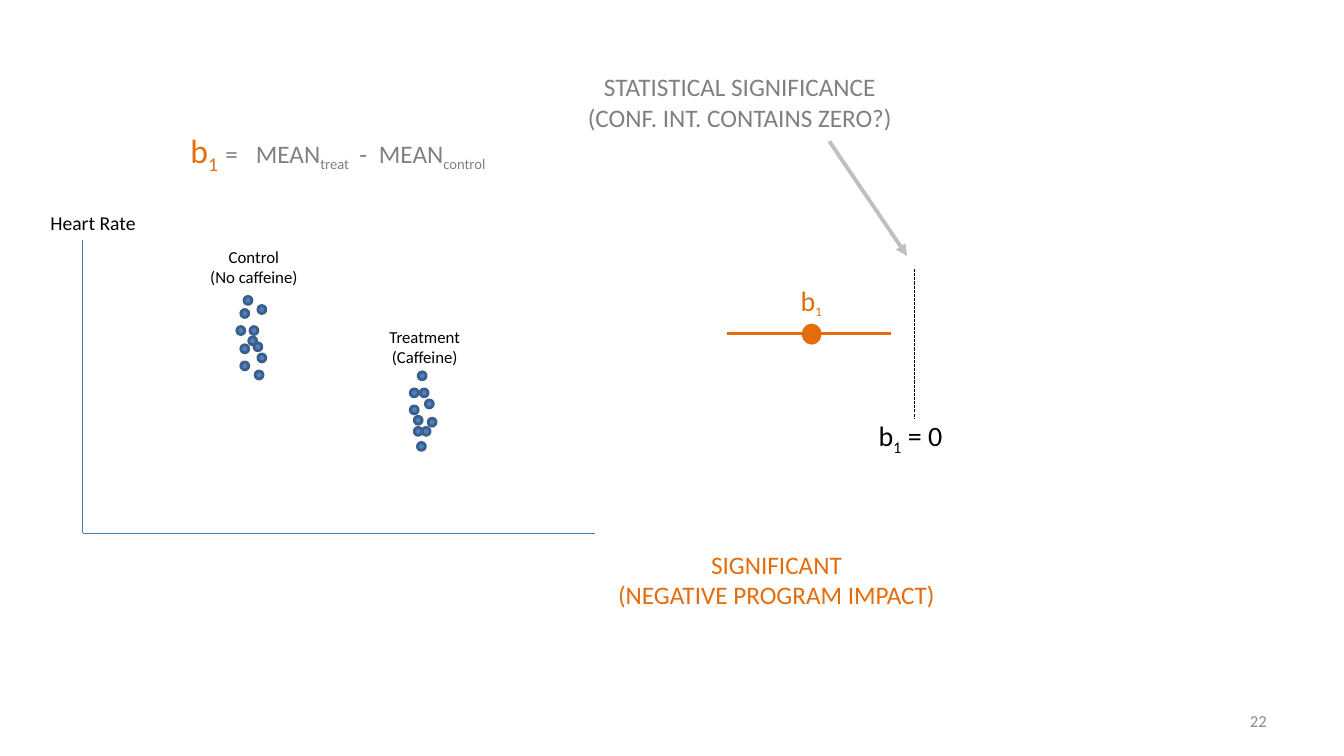
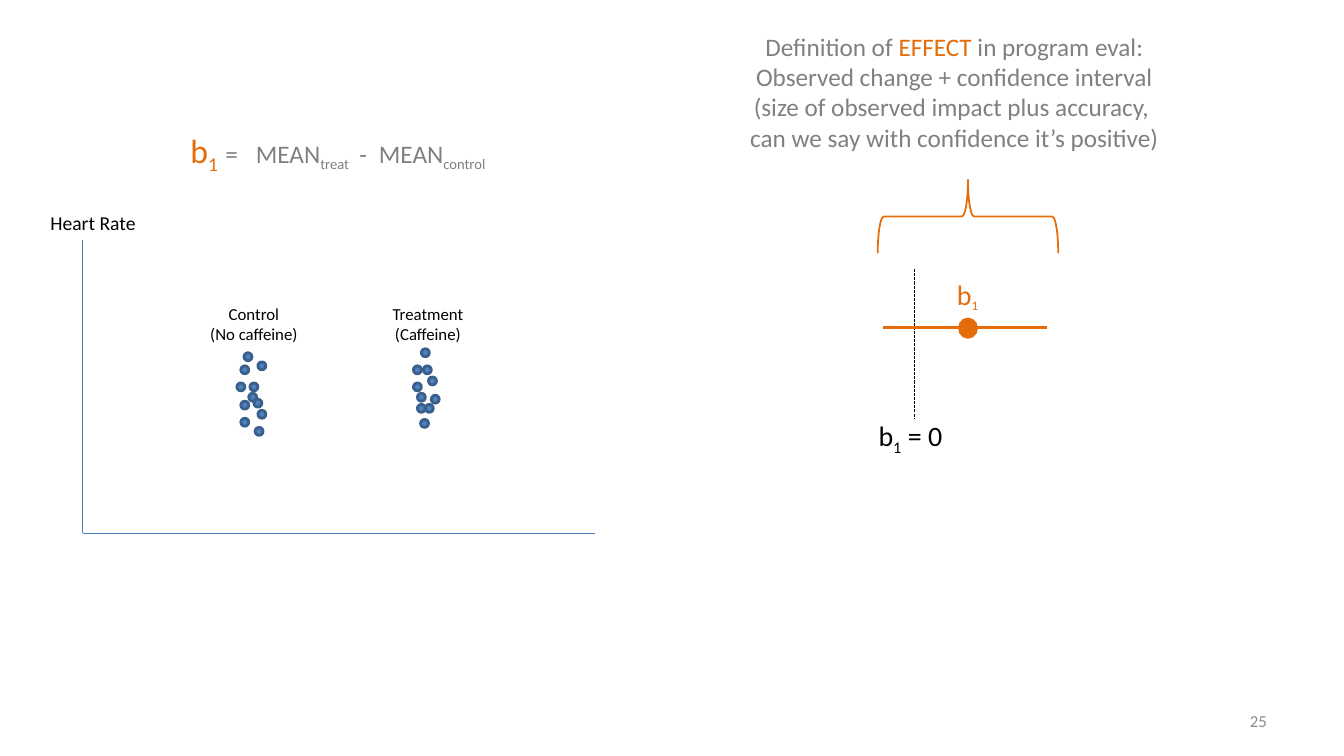
from dataclasses import dataclass

from lxml import etree
from pptx import Presentation
from pptx.dml.color import RGBColor
from pptx.enum.dml import MSO_LINE
from pptx.enum.shapes import MSO_CONNECTOR, MSO_SHAPE
from pptx.enum.text import MSO_ANCHOR, PP_ALIGN
from pptx.oxml.ns import qn
from pptx.util import Cm, Pt

LEFT, CENTER, RIGHT = PP_ALIGN.LEFT, PP_ALIGN.CENTER, PP_ALIGN.RIGHT
MIDDLE = MSO_ANCHOR.MIDDLE
STRAIGHT = MSO_CONNECTOR.STRAIGHT
ELLIPSE, BRACE = MSO_SHAPE.OVAL, MSO_SHAPE.RIGHT_BRACE
DASH = MSO_LINE.SQUARE_DOT

FONT = "Calibri"
BLACK, GRAY, PALE_GRAY, NUMBER_GRAY = "000000", "808080", "BFBFBF", "8C8C8C"
ORANGE, AXIS_BLUE, DOT_BLUE, DOT_EDGE = "E46C0A", "4B7EBC", "4F81BD", "3A5F8C"

DOT_SIZE = 0.2
ESTIMATE_LENGTH = 4.14
FORMULA_STOPS = (0.88, 1.65, 4.26, 4.75)

# Dot positions are measured from the top left corner of the group's label.
CONTROL_DOTS = (
    (0.94, 2.13), (1.27, 2.13), (1.24, 2.39), (1.04, 2.59), (1.47, 2.82), (1.04, 3.02),
    (1.4, 3.25), (1.47, 1.6), (1.12, 1.37), (1.04, 1.7), (1.37, 2.54),
)
TREATMENT_DOTS = (
    (0.79, 2.13), (0.79, 1.7), (1.17, 1.98), (1.24, 2.44), (0.89, 2.67), (1.09, 2.67),
    (0.97, 3.05), (0.99, 1.27), (1.04, 1.7), (0.89, 2.39),
)


@dataclass
class Span:
    text: str
    size: float = None
    color: str = None
    subscript: bool = False


def rgb(value):
    return RGBColor.from_string(value)


def lengths(values):
    return [Cm(value) for value in values]


def add_text(page, frame, paragraphs, size, color=BLACK, align=CENTER, wrap=False):
    """Add a text box; each paragraph is a string or a list of spans."""
    box = page.shapes.add_textbox(*lengths(frame))
    text_frame = box.text_frame
    text_frame.word_wrap = wrap
    for index, content in enumerate(paragraphs):
        para = text_frame.add_paragraph() if index else text_frame.paragraphs[0]
        para.alignment = align
        para.font.name = FONT
        para.font.size = Pt(size)
        para.font.color.rgb = rgb(color)
        spans = [Span(content)] if isinstance(content, str) else content
        for span in spans:
            run = para.add_run()
            run.text = span.text
            if span.size:
                run.font.size = Pt(span.size)
            if span.color:
                run.font.color.rgb = rgb(span.color)
            if span.subscript:
                run.font._element.set("baseline", "-25000")
    return box


def add_tab_stops(para, positions):
    properties = para._p.get_or_add_pPr()
    stops = etree.Element(qn("a:tabLst"))
    for position in positions:
        etree.SubElement(stops, qn("a:tab"), pos=str(Cm(position)), algn="l")
    properties.find(qn("a:defRPr")).addprevious(stops)


def add_line(page, start, end, color, width, dash=None, arrow=False):
    connector = page.shapes.add_connector(STRAIGHT, *lengths(start + end))
    connector.line.color.rgb = rgb(color)
    connector.line.width = Pt(width)
    if dash:
        connector.line.dash_style = dash
    if arrow:
        etree.SubElement(connector.line._get_or_add_ln(), qn("a:tailEnd"), type="triangle")
    etree.SubElement(connector._element.spPr, qn("a:effectLst"))


def add_outlined(page, kind, frame, line, width, fill=None):
    shape = page.shapes.add_shape(kind, *lengths(frame))
    shape.shadow.inherit = False
    shape.line.color.rgb = rgb(line)
    shape.line.width = Pt(width)
    if fill:
        shape.fill.solid()
        shape.fill.fore_color.rgb = rgb(fill)
    else:
        shape.fill.background()
    return shape


def add_group(page, left, top, width, label, dots):
    """Add the label of one test group and its cloud of dots."""
    for across, down in dots:
        frame = (left + across, top + down, DOT_SIZE, DOT_SIZE)
        add_outlined(page, ELLIPSE, frame, DOT_EDGE, 2, DOT_BLUE)
    add_text(page, (left, top, width, 1.27), label, 12)


def add_formula(page):
    box = add_text(page, (4.55, 3.15, 9, 1.27), [[
        Span("b", 24, ORANGE), Span("1", 24, ORANGE, True),
        Span("\t=\tMEAN"), Span("treat", subscript=True),
        Span("\t-\tMEAN"), Span("control", subscript=True),
    ]], 18, GRAY, LEFT, wrap=True)
    add_tab_stops(box.text_frame.paragraphs[0], FORMULA_STOPS)


def add_scatter(page, control, treatment):
    """Add formula, axes and both groups, given the corners of the group labels."""
    add_formula(page)
    origin = (2.08, 13.44)
    for end in ((14.99, 13.44), (2.08, 6.05)):
        add_line(page, origin, end, AXIS_BLUE, 0.75)
    add_text(page, (1.02, 5.18, 2.69, 0.86), ["Heart Rate"], 14, align=LEFT)
    add_group(page, *control, 2.74, ["Control", "(No caffeine)"], CONTROL_DOTS)
    add_group(page, *treatment, 2.31, ["Treatment", "(Caffeine)"], TREATMENT_DOTS)


def add_estimate(page, left, y):
    """Add the zero line and the confidence interval that starts at left."""
    add_line(page, (23.04, 6.78), (23.04, 10.57), BLACK, 0.75, DASH)
    add_text(page, (21.89, 10.41, 2.16, 1.12),
             [[Span("b"), Span("1", subscript=True), Span(" = 0")]], 20, align=LEFT)
    add_line(page, (left, y), (left + ESTIMATE_LENGTH, y), ORANGE, 2)
    add_text(page, (left + 1.6, y - 1.4, 1.07, 1.12),
             [[Span("b"), Span("1", 16, subscript=True)]], 20, ORANGE)
    add_outlined(page, ELLIPSE, (left + 1.93, y - 0.22, 0.43, 0.46), ORANGE, 2, ORANGE)


def add_page(deck, number):
    page = deck.slides.add_slide(deck.slide_layouts[6])
    box = add_text(page, (24.28, 17.65, 7.9, 1.02), [number], 12, NUMBER_GRAY, RIGHT, wrap=True)
    box.text_frame.vertical_anchor = MIDDLE
    return page


def build_significance(deck):
    page = add_page(deck, "22")
    add_scatter(page, control=(5.03, 6.1), treatment=(9.55, 8.1))
    add_estimate(page, 18.31, 8.41)
    add_text(page, (14.25, 1.68, 8.79, 1.8),
             ["STATISTICAL SIGNIFICANCE", "(CONF. INT. CONTAINS ZERO?)"], 18, GRAY)
    add_line(page, (20.9, 3.56), (22.86, 6.45), PALE_GRAY, 2.75, arrow=True)
    add_text(page, (15.29, 13.72, 8.56, 1.8),
             ["SIGNIFICANT", "(NEGATIVE PROGRAM IMPACT)"], 18, ORANGE)


def build_effect(deck):
    page = add_page(deck, "25")
    add_scatter(page, control=(5.03, 7.52), treatment=(9.63, 7.52))
    add_estimate(page, 22.25, 8.26)
    add_text(page, (18.59, 0.66, 10.92, 3.33), [
        [Span("Definition of "), Span("EFFECT", color=ORANGE), Span(" in program eval:")],
        "Observed change + confidence interval",
        "(size of observed impact plus accuracy, ",
        "can we say with confidence it’s positive)",
    ], 18, GRAY)
    brace = add_outlined(page, BRACE, (23.47, 3.18, 1.85, 4.55), ORANGE, 1.25)
    brace.rotation = 270


def main():
    deck = Presentation()
    deck.slide_width, deck.slide_height = Cm(33.87), Cm(19.05)
    build_significance(deck)
    build_effect(deck)
    deck.save("out.pptx")


if __name__ == "__main__":
    main()
